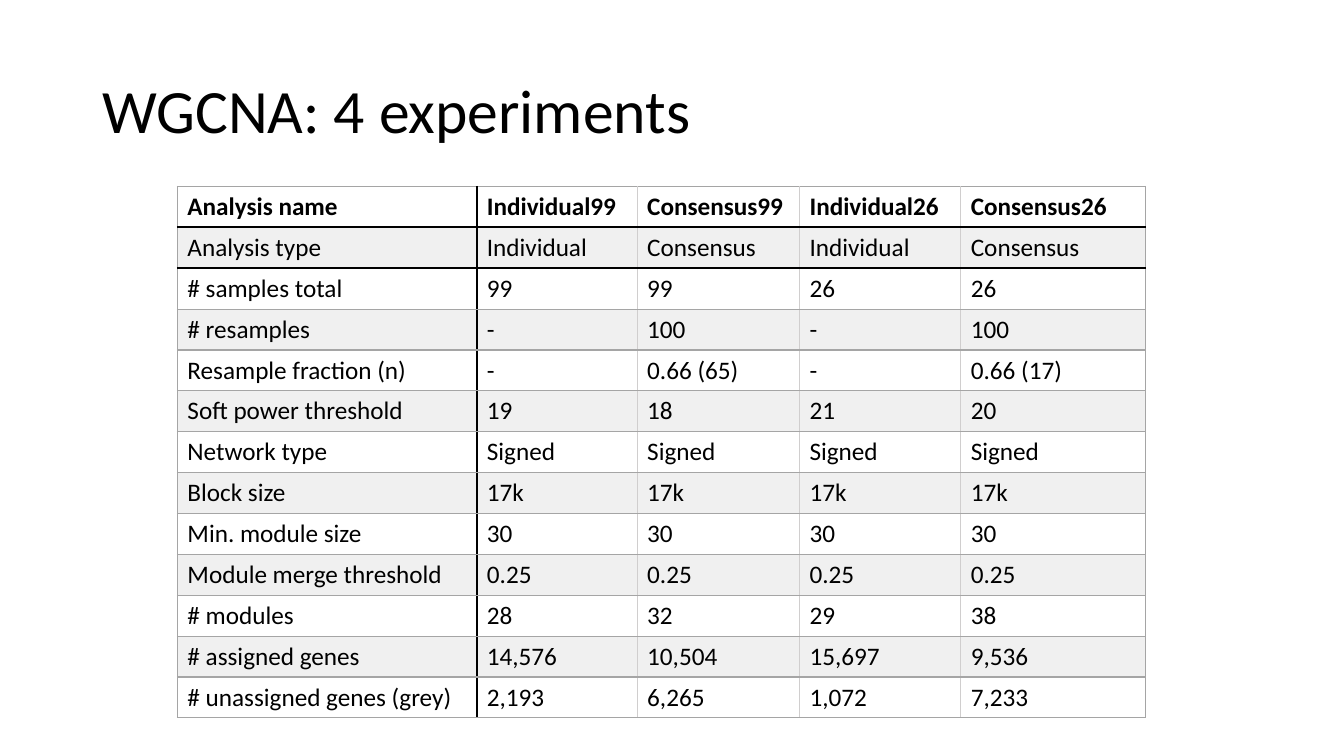
import pptx
import pptx.dml.color
import pptx.enum.text
import pptx.oxml.ns
import pptx.util
import lxml.etree

BLACK = pptx.dml.color.RGBColor(0x00, 0x00, 0x00)
WHITE = pptx.dml.color.RGBColor(0xFF, 0xFF, 0xFF)
BAND_GREY = pptx.dml.color.RGBColor(0xF0, 0xF0, 0xF0)
RULE_GREY = pptx.dml.color.RGBColor(0xA5, 0xA5, 0xA5)
COLUMN_GREY = pptx.dml.color.RGBColor(0xD0, 0xCE, 0xCE)

STRONG_LINE = (BLACK, 1.5)
RULE_LINE = (RULE_GREY, 1)
COLUMN_LINE = (COLUMN_GREY, 1)

COLUMN_SHARES = [22.28, 11.93, 12.08, 12, 13.73]
EXPERIMENTS = [
    ("Analysis name", "Individual99", "Consensus99", "Individual26", "Consensus26"),
    ("Analysis type", "Individual", "Consensus", "Individual", "Consensus"),
    ("# samples total", "99", "99", "26", "26"),
    ("# resamples", "-", "100", "-", "100"),
    ("Resample fraction (n)", "-", "0.66 (65)", "-", "0.66 (17)"),
    ("Soft power threshold", "19", "18", "21", "20"),
    ("Network type", "Signed", "Signed", "Signed", "Signed"),
    ("Block size", "17k", "17k", "17k", "17k"),
    ("Min. module size", "30", "30", "30", "30"),
    ("Module merge threshold", "0.25", "0.25", "0.25", "0.25"),
    ("# modules", "28", "32", "29", "38"),
    ("# assigned genes", "14,576", "10,504", "15,697", "9,536"),
    ("# unassigned genes (grey)", "2,193", "6,265", "1,072", "7,233"),
]


def write_text(text_frame, text, font="Calibri", size=18, color=BLACK, bold=False, spacing=1.0):
    paragraph = text_frame.paragraphs[0]
    paragraph.line_spacing = spacing
    run = paragraph.add_run()
    run.text = text
    run.font.name = font
    run.font.size = pptx.util.Pt(size)
    run.font.color.rgb = color
    run.font.bold = bold


def draw_border(cell, side, line):
    color, width = line
    name = pptx.oxml.ns.qn
    properties = cell._tc.get_or_add_tcPr()
    border = lxml.etree.SubElement(properties, name(f"a:ln{side}"), w=str(pptx.util.Pt(width)))
    fill = lxml.etree.SubElement(border, name("a:solidFill"))
    lxml.etree.SubElement(fill, name("a:srgbClr"), val=str(color))


class SlideBuilder:
    def __init__(self, presentation):
        self.width = presentation.slide_width
        self.height = presentation.slide_height
        self.slide = presentation.slides.add_slide(presentation.slide_layouts[6])

    def across(self, percent):
        return round(self.width * percent / 100)

    def down(self, percent):
        return round(self.height * percent / 100)

    def area(self, left, top, width, height):
        return self.across(left), self.down(top), self.across(width), self.down(height)

    def title(self, text, left, top, width, height):
        shape = self.slide.shapes.add_textbox(*self.area(left, top, width, height))
        shape.text_frame.word_wrap = True
        shape.text_frame.vertical_anchor = pptx.enum.text.MSO_ANCHOR.MIDDLE
        write_text(shape.text_frame, text, size=44, spacing=0.9)

    def table(self, rows, column_shares, left, top, row_share):
        area = self.area(left, top, sum(column_shares), row_share * len(rows))
        shape = self.slide.shapes.add_table(len(rows), len(column_shares), *area)
        table = shape.table
        for column, share in zip(table.columns, column_shares):
            column.width = self.across(share)
        column_lines = [RULE_LINE, STRONG_LINE] + [COLUMN_LINE] * (len(column_shares) - 2) + [RULE_LINE]
        row_lines = [RULE_LINE, STRONG_LINE, STRONG_LINE] + [RULE_LINE] * (len(rows) - 2)
        for row_index, values in enumerate(rows):
            table.rows[row_index].height = self.down(row_share)
            for column_index, value in enumerate(values):
                cell = table.cell(row_index, column_index)
                write_text(cell.text_frame, value, bold=row_index == 0)
                draw_border(cell, "L", column_lines[column_index])
                draw_border(cell, "R", column_lines[column_index + 1])
                draw_border(cell, "T", row_lines[row_index])
                draw_border(cell, "B", row_lines[row_index + 1])
                cell.fill.solid()
                cell.fill.fore_color.rgb = BAND_GREY if row_index % 2 else WHITE


def main():
    presentation = pptx.Presentation()
    presentation.slide_width = pptx.util.Inches(13.33)
    presentation.slide_height = pptx.util.Inches(7.5)
    builder = SlideBuilder(presentation)
    builder.title("WGCNA: 4 experiments", left=6.88, top=5.33, width=86.25, height=19.33)
    builder.table(EXPERIMENTS, COLUMN_SHARES, left=13.2, top=24.67, row_share=5.41)
    presentation.save("out.pptx")


if __name__ == "__main__":
    main()
